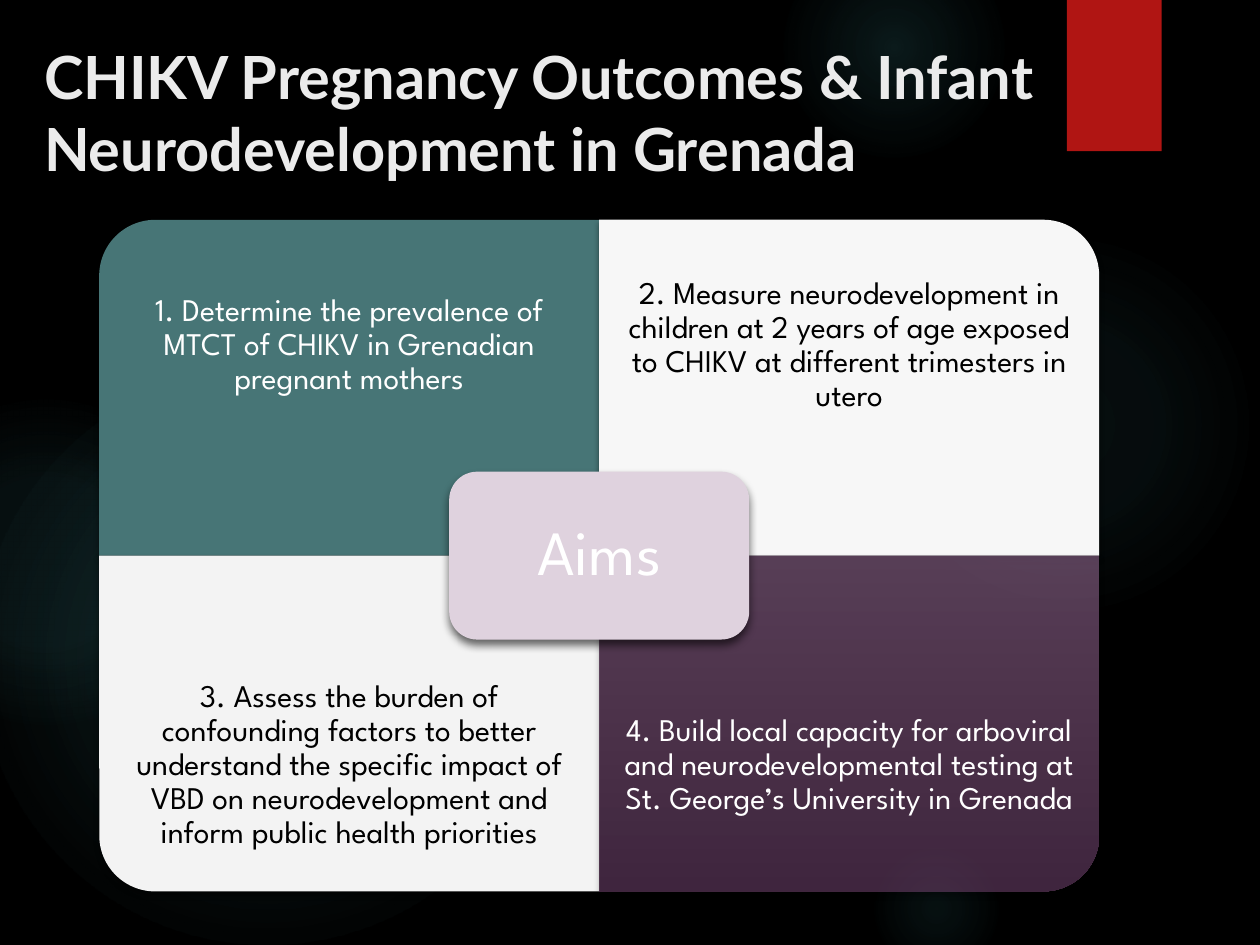
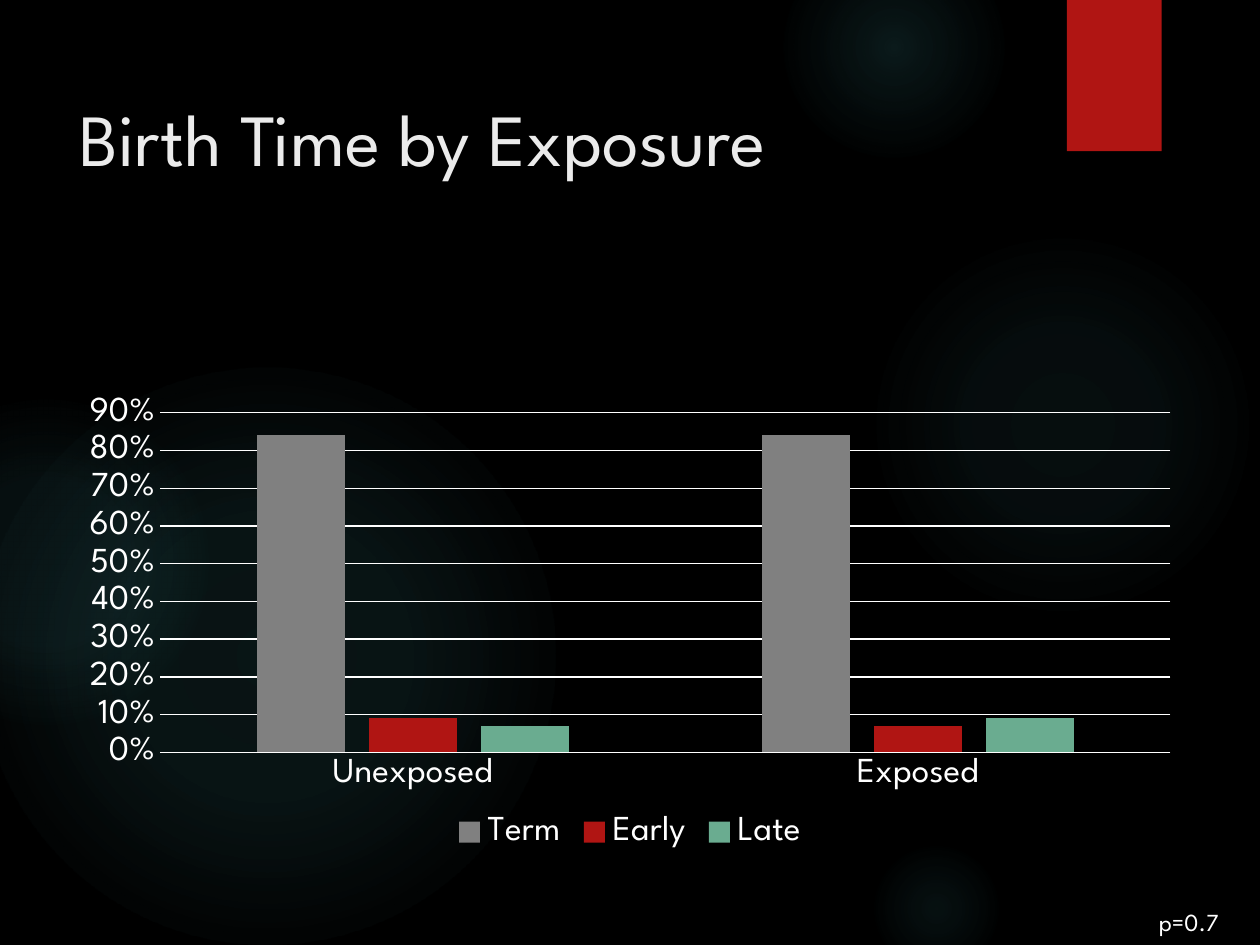
import pptx
import pptx.chart.data
import pptx.dml.color
import pptx.enum.chart
import pptx.enum.shapes
import pptx.enum.text
import pptx.oxml.ns
import pptx.util
from lxml import etree

Cm, Pt = pptx.util.Cm, pptx.util.Pt
RGB = pptx.dml.color.RGBColor
KIND = pptx.enum.shapes.MSO_SHAPE
ALIGN = pptx.enum.text.PP_ALIGN
ANCHOR = pptx.enum.text.MSO_ANCHOR
TICK = pptx.enum.chart.XL_TICK_MARK

BLACK = RGB(0x00, 0x00, 0x00)
WHITE = RGB(0xFF, 0xFF, 0xFF)
PALE = RGB(0xEB, 0xEB, 0xEB)
RED = RGB(0xB0, 0x15, 0x13)
AQUA = RGB(0x50, 0xB9, 0xC1)
TEAL = RGB(0x47, 0x75, 0x76)
SNOW = RGB(0xF7, 0xF7, 0xF7)
MIST = RGB(0xF3, 0xF3, 0xF3)
LILAC = RGB(0xDF, 0xD2, 0xDE)
MAUVE = RGB(0xAF, 0x7C, 0xAC)
PLUM = RGB(0x7F, 0x4B, 0x7C)
GRAY = RGB(0x80, 0x80, 0x80)
GREEN = RGB(0x6A, 0xAC, 0x90)

FONT = "League Spartan"
WIDE, HIGH = 25.4, 19.05
GLOWS = [
    (17.5, 4.65, 7.82, [(0, 7), (36, 6), (69, 0)]),
    (15.8, -1.27, 4.45, [(0, 14), (36, 7), (73, 0)]),
    (17.5, 16.94, 2.74, [(0, 9), (36, 5), (66, 0)]),
    (-0.43, 7.42, 11.63, [(0, 11), (36, 10), (75, 0)]),
    (-2.34, 8.05, 6.55, [(0, 8), (36, 8), (72, 0)]),
]
AIMS = [
    ("1. Determine the prevalence of MTCT of CHIKV in Grenadian pregnant mothers",
     TEAL, WHITE, 270),
    ("2. Measure neurodevelopment in children at 2 years of age exposed to CHIKV "
     "at different trimesters in utero", SNOW, BLACK, 0),
    ("3. Assess the burden of confounding factors to better understand the specific "
     "impact of VBD on neurodevelopment and inform public health priorities",
     MIST, BLACK, 180),
    ("4. Build local capacity for arboviral and neurodevelopmental testing at "
     "St. George’s University in Grenada", [(0, MAUVE, 50), (100, PLUM, 50)], WHITE, 90),
]


def add(parent, tag, **attrs):
    """Append a drawing element with the given attributes."""
    node = etree.SubElement(parent, pptx.oxml.ns.qn(f"a:{tag}"))
    for key, value in attrs.items():
        node.set(key, str(value))
    return node


def tint(parent, color, alpha):
    """Append a colour with its opacity in percent."""
    add(add(parent, "srgbClr", val=color), "alpha", val=alpha * 1000)


def blend(shape, stops, round_out=False):
    """Fill a shape with a linear or circular gradient."""
    shape.fill.solid()
    old = shape.element.spPr.find(pptx.oxml.ns.qn("a:solidFill"))
    grad = etree.Element(pptx.oxml.ns.qn("a:gradFill"), rotWithShape="0")
    old.getparent().replace(old, grad)
    group = add(grad, "gsLst")
    for place, color, alpha in stops:
        tint(add(group, "gs", pos=place * 1000), color, alpha)
    if round_out:
        ring = add(grad, "path", path="circle")
        add(ring, "fillToRect", l=50000, t=50000, r=50000, b=50000)
    else:
        add(grad, "lin", ang=5400000, scaled=0)


def write(shape, text, size=18, color=WHITE, font=FONT, bold=False, align=ALIGN.LEFT,
          anchor=ANCHOR.TOP, space=1.0, inset=None):
    """Put formatted text in a shape."""
    frame = shape.text_frame
    frame.word_wrap = True
    frame.vertical_anchor = anchor
    if inset is not None:
        frame.margin_left = frame.margin_right = Cm(inset)
        frame.margin_top = frame.margin_bottom = Cm(inset)
    para = frame.paragraphs[0]
    para.alignment, para.line_spacing = align, space
    run = para.add_run()
    run.text = text
    run.font.name, run.font.size, run.font.bold = font, Pt(size), bold
    run.font.color.rgb = color


class Deck:
    """Holds the shared style and the current slide."""

    def __init__(self):
        """Start an empty deck."""
        self.show = pptx.Presentation()
        self.show.slide_width, self.show.slide_height = Cm(WIDE), Cm(HIGH)
        self.slide = None

    def page(self):
        """Add a slide with its glows and red tab."""
        self.slide = self.show.slides.add_slide(self.show.slide_layouts[6])
        back = self.slide.background.fill
        back.solid()
        back.fore_color.rgb = BLACK
        for left, top, size, fades in GLOWS:
            glow = self.shape(KIND.OVAL, left, top, size, size)
            blend(glow, [(place, AQUA, alpha) for place, alpha in fades], True)
        self.shape(KIND.RECTANGLE, 21.51, 0, 1.91, 3.05, RED, (45, 3, 2))

    def shape(self, kind, left, top, wide, high, fill=None, shade=None, turn=0):
        """Add a preset shape that covers the given area once turned."""
        if turn % 180:
            left, top = left + (wide - high) / 2, top + (high - wide) / 2
            wide, high = high, wide
        item = self.slide.shapes.add_shape(kind, Cm(left), Cm(top), Cm(wide), Cm(high))
        item.rotation = turn
        item.line.fill.background()
        item.shadow.inherit = False
        if isinstance(fill, list):
            blend(item, fill)
        elif fill is not None:
            item.fill.solid()
            item.fill.fore_color.rgb = fill
        if shade:
            alpha, blur, drop = shade
            effect = item.element.spPr.find(pptx.oxml.ns.qn("a:effectLst"))
            cast = add(effect, "outerShdw", blurRad=Pt(blur), dist=Pt(drop),
                       dir=5400000, rotWithShape=0)
            tint(cast, BLACK, alpha)
        return item

    def text(self, text, left, top, wide, high, **form):
        """Add a text box."""
        box = self.slide.shapes.add_textbox(Cm(left), Cm(top), Cm(wide), Cm(high))
        write(box, text, **form)

    def title(self, text, left, top, wide, high, **form):
        """Add a slide title."""
        self.text(text, left, top, wide, high, color=PALE, **form)

    def chart(self, cats, rows, left, top, wide, high):
        """Add a clustered column chart in percent."""
        data = pptx.chart.data.CategoryChartData(number_format="0%")
        data.categories = cats
        for name, values, _ in rows:
            data.add_series(name, values)
        chart = self.slide.shapes.add_chart(
            pptx.enum.chart.XL_CHART_TYPE.COLUMN_CLUSTERED,
            Cm(left), Cm(top), Cm(wide), Cm(high), data).chart
        chart.has_title = False
        chart.font.name, chart.font.size = FONT, Pt(20)
        chart.font.color.rgb = WHITE
        chart.has_legend = True
        chart.legend.position = pptx.enum.chart.XL_LEGEND_POSITION.BOTTOM
        chart.legend.include_in_layout = False
        plot = chart.plots[0]
        plot.gap_width, plot.overlap, plot.vary_by_categories = 219, -27, False
        for item, (_, _, color) in zip(plot.series, rows):
            item.format.fill.solid()
            item.format.fill.fore_color.rgb = color
        base, scale = chart.category_axis, chart.value_axis
        base.major_tick_mark = scale.major_tick_mark = TICK.NONE
        scale.minimum_scale, scale.maximum_scale, scale.major_unit = 0, 0.9, 0.1
        scale.tick_labels.number_format = "0%"
        scale.tick_labels.number_format_is_linked = False
        scale.format.line.fill.background()
        for line in (base.format.line, scale.major_gridlines.format.line):
            line.color.rgb, line.width = WHITE, Pt(0.75)


def aims(deck):
    """Build the slide of four aims."""
    deck.page()
    deck.title("CHIKV Pregnancy Outcomes & Infant Neurodevelopment in Grenada",
               0.64, 0.69, 20.52, 3.68, size=34, font="Lato", bold=True)
    left, top, wide, high = 2, 4.43, 10.08, 6.77
    mid = {"align": ALIGN.CENTER, "anchor": ANCHOR.MIDDLE, "space": 0.9}
    for count, (text, fill, color, turn) in enumerate(AIMS):
        row, col = divmod(count, 2)
        x, y = left + col * wide, top + row * high
        deck.shape(KIND.ROUND_1_RECTANGLE, x, y, wide, high, fill, (45, 3, 2), turn)
        deck.text(text, x, y + row * high / 4, wide, high * 3 / 4,
                  color=color, inset=0.36, **mid)
    hub = deck.shape(KIND.ROUNDED_RECTANGLE, left + wide * 0.7, top + high * 0.75,
                     wide * 0.6, high / 2, LILAC, (60, 5, 3))
    write(hub, "Aims", size=36, inset=0.38, **mid)


def births(deck):
    """Build the slide of birth times."""
    deck.page()
    deck.title("Birth Time by Exposure", 1.35, 1.75, 19.28, 2.82, size=42)
    rows = [("Term", (0.84, 0.84), GRAY), ("Early", (0.09, 0.07), RED),
            ("Late", (0.07, 0.09), GREEN)]
    deck.chart(["Unexposed", "Exposed"], rows, 1.35, 7.8, 22.7, 9.45)
    deck.text("p=0.7", 23.11, 18.16, 2.29, 0.89, size=14)


def main():
    """Build and save the deck."""
    deck = Deck()
    aims(deck)
    births(deck)
    deck.show.save("out.pptx")


if __name__ == "__main__":
    main()
